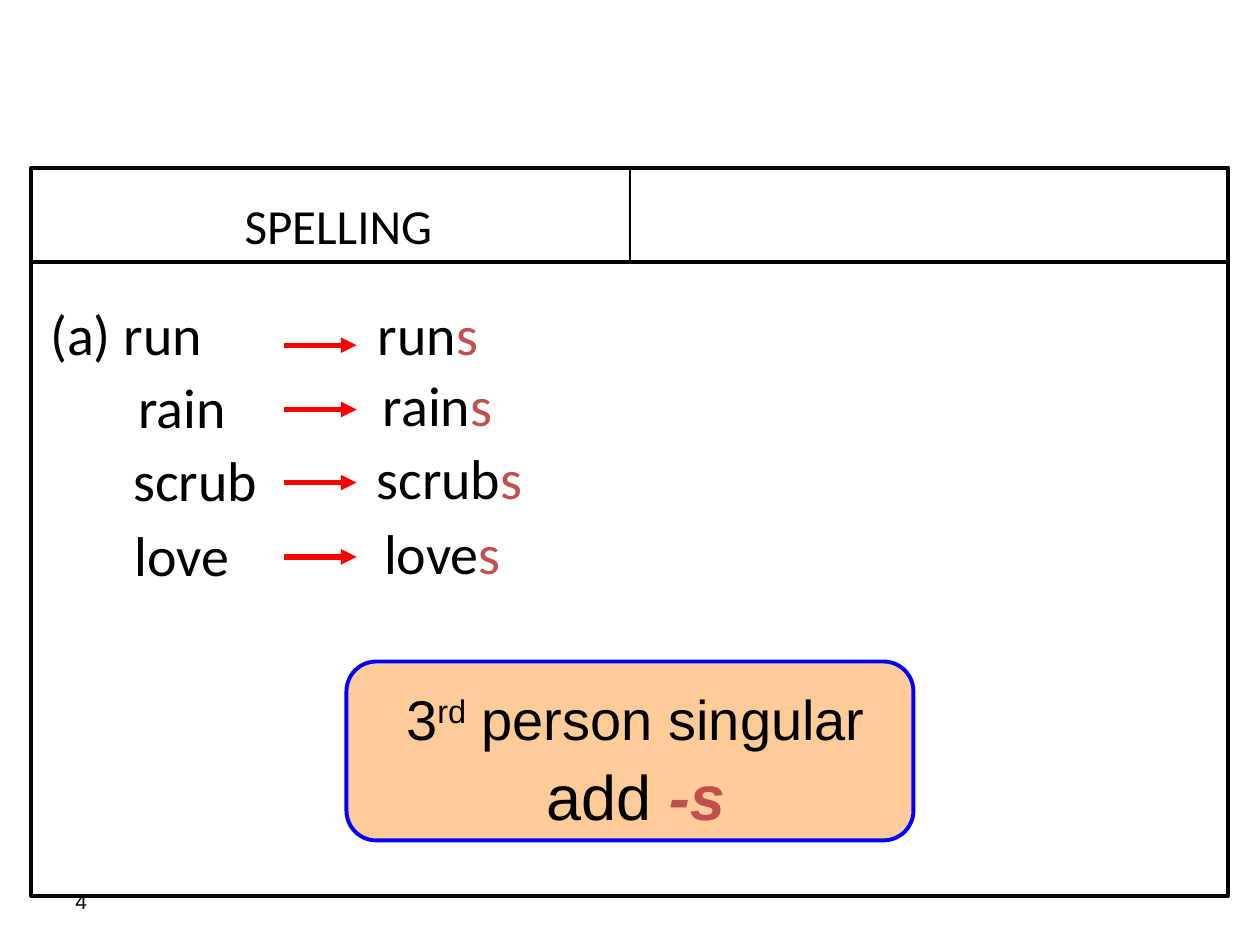
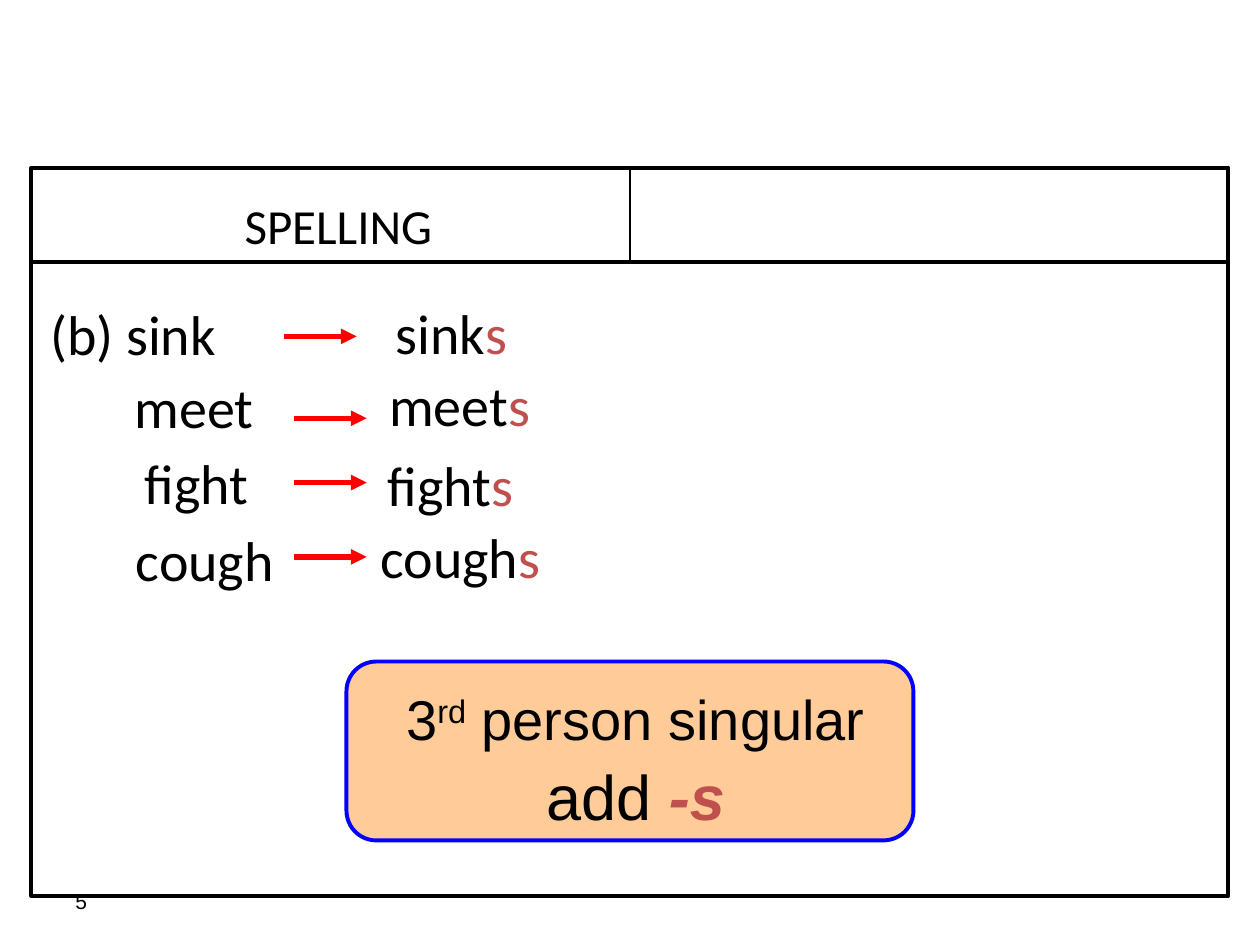
import pptx
import pptx.dml.color
import pptx.enum.shapes
import pptx.enum.text
import pptx.oxml
import pptx.oxml.ns
import pptx.util

Inches = pptx.util.Inches
Shape = pptx.enum.shapes.MSO_SHAPE
Align = pptx.enum.text.PP_ALIGN
Anchor = pptx.enum.text.MSO_ANCHOR

BLACK = pptx.dml.color.RGBColor(0x00, 0x00, 0x00)
RED = pptx.dml.color.RGBColor(0xFF, 0x00, 0x00)
BLUE = pptx.dml.color.RGBColor(0x00, 0x00, 0xFF)
PEACH = pptx.dml.color.RGBColor(0xFF, 0xCC, 0x99)
ENDING_RED = pptx.dml.color.RGBColor(0xC0, 0x50, 0x4D)

FRAME_LEFT, FRAME_TOP, FRAME_WIDTH, FRAME_HEIGHT = 0.25, 1.33, 9.5, 5.78
HEADER_BOTTOM = 2.08
ARROW_LENGTH = 0.58

# Each row: verb, its left and top; stem, its left and top; arrow left and height
LESSONS = {
    4: [
        ("(a) run", 0.3, 2.33, "run", 2.9, 2.33, 2.25, 2.74),
        ("rain", 1, 2.91, "rain", 2.94, 2.89, 2.25, 3.25),
        ("scrub", 0.96, 3.49, "scrub", 2.89, 3.47, 2.25, 3.83),
        ("love", 0.97, 4.08, "love", 2.95, 4.07, 2.25, 4.42),
    ],
    5: [
        ("(b) sink", 0.3, 2.33, "sink", 3.04, 2.32, 2.25, 2.67),
        ("meet", 0.97, 2.91, "meet", 2.99, 2.89, 2.33, 3.32),
        ("fight", 1.05, 3.51, "fight", 2.98, 3.53, 2.33, 3.83),
        ("cough", 0.98, 4.12, "cough", 2.92, 4.1, 2.33, 4.42),
    ],
}


def add_span(para, text, font="Calibri", size=32, color=BLACK,
             bold=False, italic=False, raised=False):
    span = para.add_run()
    span.text = text
    span.font.name = font
    span.font.size = pptx.util.Pt(size)
    span.font.color.rgb = color
    span.font.bold = bold
    span.font.italic = italic
    if raised:
        span._r.get_or_add_rPr().set("baseline", "30000")


class SpellingPage:
    def __init__(self, deck):
        self.slide = deck.slides.add_slide(deck.slide_layouts[6])

    def text_box(self, left, top, width, height, align=Align.LEFT, anchor=Anchor.TOP):
        """Add an empty box and return its first paragraph's text frame."""
        box = self.slide.shapes.add_textbox(
            Inches(left), Inches(top), Inches(width), Inches(height))
        frame = box.text_frame
        frame.word_wrap = True
        frame.vertical_anchor = anchor
        frame.paragraphs[0].alignment = align
        return frame

    def line(self, start, end, color=BLACK, width=2.25, arrow=False):
        connector = self.slide.shapes.add_connector(
            pptx.enum.shapes.MSO_CONNECTOR.STRAIGHT,
            *(Inches(value) for value in (*start, *end)))
        connector.line.color.rgb = color
        connector.line.width = pptx.util.Pt(width)
        if arrow:
            head = pptx.oxml.parse_xml(
                f'<a:tailEnd {pptx.oxml.ns.nsdecls("a")} type="triangle"/>')
            connector.line._get_or_add_ln().append(head)
        connector._element.spPr.append(pptx.oxml.parse_xml(
            f'<a:effectLst {pptx.oxml.ns.nsdecls("a")}/>'))

    def outlined_shape(self, kind, left, top, width, height, color, fill=None):
        shape = self.slide.shapes.add_shape(
            kind, Inches(left), Inches(top), Inches(width), Inches(height))
        shape.shadow.inherit = False
        shape.line.color.rgb = color
        shape.line.width = pptx.util.Pt(2.25)
        if fill is None:
            shape.fill.background()
        else:
            shape.fill.solid()
            shape.fill.fore_color.rgb = fill

    def header(self):
        frame = self.text_box(1.62, 1.5, 2.13, 0.57, Align.CENTER)
        add_span(frame.paragraphs[0], "SPELLING", size=28)
        right = FRAME_LEFT + FRAME_WIDTH
        self.line((FRAME_LEFT, HEADER_BOTTOM), (right, HEADER_BOTTOM))
        self.line((5, FRAME_TOP), (5, HEADER_BOTTOM), width=1)

    def rule(self):
        self.outlined_shape(Shape.ROUNDED_RECTANGLE, 2.75, 5.25, 4.5, 1.42, BLUE, PEACH)
        frame = self.text_box(2.67, 5.38, 4.75, 1.2, Align.CENTER)
        person = frame.paragraphs[0]
        add_span(person, "3", font="Arial")
        add_span(person, "rd", font="Arial", raised=True)
        add_span(person, " person singular", font="Arial")
        ending = frame.add_paragraph()
        ending.alignment = Align.CENTER
        ending.space_before = pptx.util.Pt(3.5)
        add_span(ending, "add ", font="Arial", size=36)
        add_span(ending, "-s", font="Arial", size=36, color=ENDING_RED,
                 bold=True, italic=True)

    def verb_row(self, verb, verb_left, verb_top, stem, stem_left, stem_top,
                 arrow_left, arrow_y):
        frame = self.text_box(verb_left, verb_top, 1.6, 0.63)
        add_span(frame.paragraphs[0], verb)
        frame = self.text_box(stem_left, stem_top, 1.7, 0.63)
        add_span(frame.paragraphs[0], stem)
        add_span(frame.paragraphs[0], "s", color=ENDING_RED)
        self.line((arrow_left, arrow_y), (arrow_left + ARROW_LENGTH, arrow_y),
                  color=RED, width=3, arrow=True)

    def page_number(self, number):
        frame = self.text_box(0.5, 6.95, 2.33, 0.4, anchor=Anchor.MIDDLE)
        add_span(frame.paragraphs[0], str(number), font="Arial", size=12)

    def border(self):
        self.outlined_shape(Shape.RECTANGLE, FRAME_LEFT, FRAME_TOP,
                            FRAME_WIDTH, FRAME_HEIGHT, BLACK)


def main():
    deck = pptx.Presentation()
    deck.slide_width = Inches(10)
    deck.slide_height = Inches(7.5)
    for number, rows in LESSONS.items():
        page = SpellingPage(deck)
        page.page_number(number)
        page.rule()
        page.header()
        for row in rows:
            page.verb_row(*row)
        page.border()
    deck.save("out.pptx")


if __name__ == "__main__":
    main()
